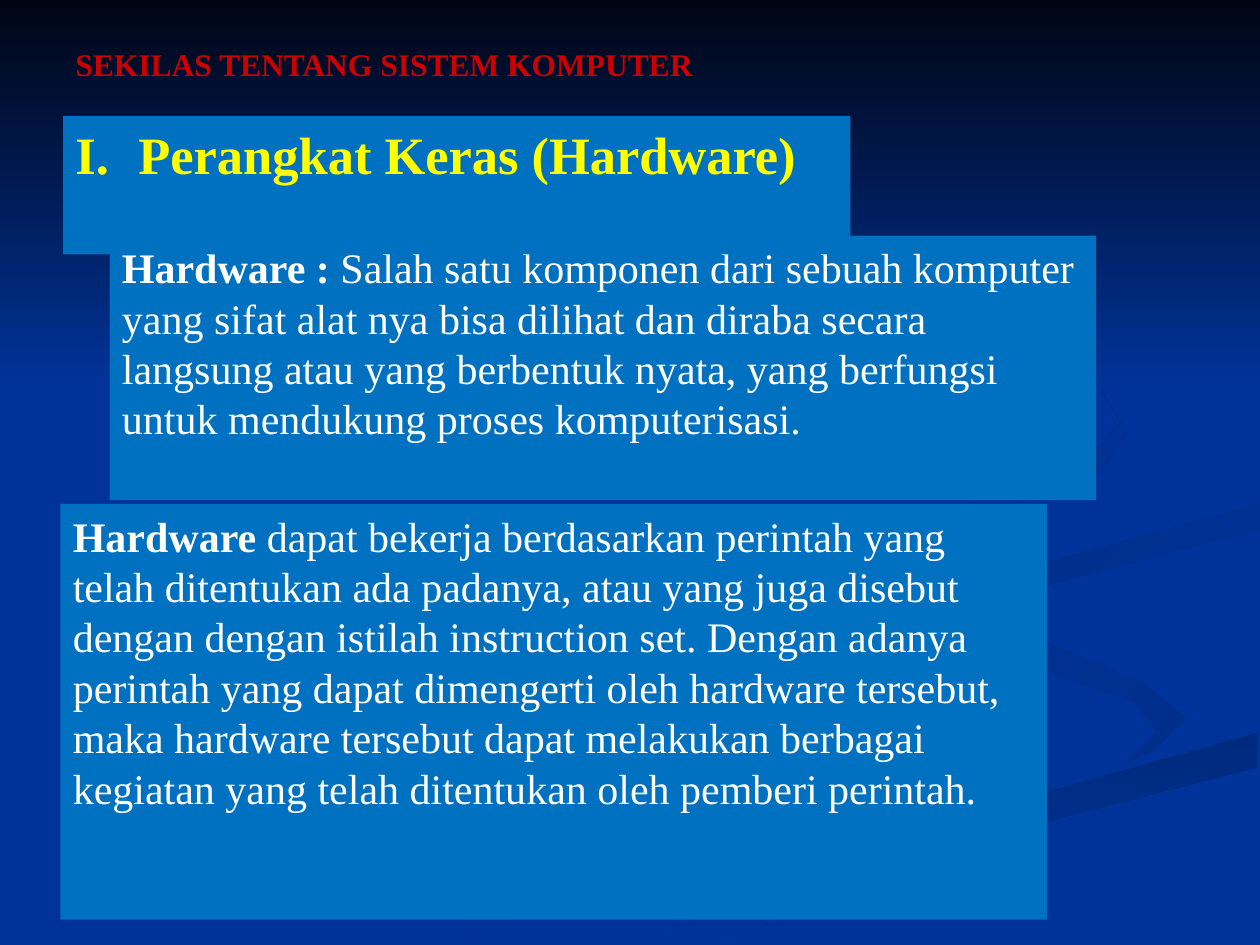
from dataclasses import dataclass

from lxml.etree import SubElement
from pptx import Presentation
from pptx.dml.color import RGBColor
from pptx.enum.shapes import MSO_SHAPE as Preset
from pptx.enum.text import MSO_ANCHOR as Anchor, PP_ALIGN as Align
from pptx.oxml.ns import qn
from pptx.util import Emu, Inches, Pt

NAVY, PANEL_BLUE, WHITE = "003399", "0070C0", "FFFFFF"
FONT = "Times New Roman"


@dataclass
class Swirl:
    """A closed outline in tenths of an inch, with a two-colour gradient."""
    points: list[tuple[float, float]]
    start: str = NAVY
    end: str = NAVY
    angle: int = 0


@dataclass
class Panel:
    """A text block: a bold lead followed by plain text."""
    left: float
    top: float
    width: float
    height: float
    lead: str
    body: str = ""
    size: int = 24
    color: str = WHITE
    fill: str | None = PANEL_BLUE
    hanging: float = 0
    tab: float = 0


SWIRLS = [
    Swirl([(78, 55), (57, 46), (78, 57), (30, 75), (36, 75), (80, 58)], NAVY, "002E8B"),
    Swirl([(94.3, 57), (90.5, 54), (72.4, 46.4), (83.8, 53.6), (90, 55.7),
           (91.8, 58.1), (89.4, 60.5), (93.2, 58.9)], NAVY, "002E8B", 45),
    Swirl([(50.3, 74.9), (57.1, 74.9), (75.2, 67.2), (99.8, 60.9), (99.8, 58.1),
           (76.4, 64.7)], "002A7D", NAVY, 90),
    Swirl([(72.5, 46.4), (90.5, 54), (94.3, 57), (91.1, 60), (66, 67), (47.7, 74.9),
           (50, 74.9), (76.5, 64.7), (99.9, 58.1), (99.9, 53.8), (78.1, 46.3),
           (85, 42.7), (99.9, 40.2), (99.9, 38.7), (77, 42.7)]),
    Swirl([(78, 46), (83, 50), (81, 47), (100, 42), (100, 40)], "002D86", NAVY, 45),
    Swirl([(68.3, 43), (86.7, 38.4), (89.4, 34.4), (86.4, 29.1), (76.2, 23.3),
           (86.2, 29.2), (88.9, 33.5), (86.1, 37), (57.7, 46.2), (62.2, 50)],
          "002B82", NAVY, 45),
    Swirl([(0, 0), (0, 30.8), (100, 30.8), (100, 0)], "000514", NAVY, 90),
]

PANELS = [
    Panel(0.87, 1.87, 7.83, 2.1, "Hardware : ",
          "Salah satu komponen dari sebuah komputer yang sifat alat nya bisa dilihat dan "
          "diraba secara langsung atau yang berbentuk nyata, yang berfungsi untuk "
          "mendukung proses komputerisasi."),
    Panel(0.48, 4, 7.83, 3.3, "Hardware ",
          "dapat bekerja berdasarkan perintah yang telah ditentukan ada padanya, atau yang "
          "juga disebut dengan dengan istilah instruction set. Dengan adanya perintah yang "
          "dapat dimengerti oleh hardware tersebut, maka hardware tersebut dapat melakukan "
          "berbagai kegiatan yang telah ditentukan oleh pemberi perintah."),
    Panel(0.5, 0.31, 7.83, 0.4, "SEKILAS TENTANG SISTEM KOMPUTER", size=18,
          color="CC0000", fill=None, hanging=0.67),
    Panel(0.5, 0.92, 6.25, 1.1, "I.\tPerangkat Keras (Hardware)", size=30,
          color="FFFF00", tab=0.51),
]


def rgb(value: str) -> RGBColor:
    return RGBColor.from_string(value)


def draw_swirl(shapes, swirl: Swirl) -> None:
    first, *others = [(Inches(x / 10), Inches(y / 10)) for x, y in swirl.points]
    outline = shapes.build_freeform(*first)
    outline.add_line_segments(others, close=True)
    ribbon = outline.convert_to_shape(Emu(0), Emu(0))
    ribbon.shadow.inherit = False
    ribbon.line.fill.background()
    if swirl.start == swirl.end:
        ribbon.fill.solid()
        ribbon.fill.fore_color.rgb = rgb(swirl.start)
        return
    ribbon.fill.gradient()
    ribbon.fill.gradient_angle = (360 - swirl.angle) % 360
    for stop, color in zip(ribbon.fill.gradient_stops, (swirl.start, swirl.end)):
        stop.color.rgb = rgb(color)


def draw_panel(shapes, panel: Panel) -> None:
    place = [Inches(n) for n in (panel.left, panel.top, panel.width, panel.height)]
    if panel.fill:
        block = shapes.add_shape(Preset.RECTANGLE, *place)
        block.shadow.inherit = False
        block.fill.solid()
        block.fill.fore_color.rgb = rgb(panel.fill)
        block.line.fill.background()
    else:
        block = shapes.add_textbox(*place)
    frame = block.text_frame
    frame.word_wrap = True
    frame.vertical_anchor = Anchor.TOP
    paragraph = frame.paragraphs[0]
    paragraph.alignment = Align.LEFT
    properties = paragraph._p.get_or_add_pPr()
    properties.set("marL", str(Inches(panel.hanging)))
    properties.set("indent", str(-Inches(panel.hanging)))
    if panel.tab:
        tabs = SubElement(properties, qn("a:tabLst"))
        SubElement(tabs, qn("a:tab"), pos=str(Inches(panel.tab)), algn="l")
    for words, bold in ((panel.lead, True), (panel.body, False)):
        if words:
            run = paragraph.add_run()
            run.text = words
            run.font.name = FONT
            run.font.size = Pt(panel.size)
            run.font.bold = bold
            run.font.color.rgb = rgb(panel.color)


def main() -> None:
    """Build the slide introducing computer hardware."""
    deck = Presentation()
    deck.slide_width, deck.slide_height = Inches(10), Inches(7.5)
    slide = deck.slides.add_slide(deck.slide_layouts[6])
    slide.background.fill.solid()
    slide.background.fill.fore_color.rgb = rgb(NAVY)
    for swirl in SWIRLS:
        draw_swirl(slide.shapes, swirl)
    for panel in PANELS:
        draw_panel(slide.shapes, panel)
    deck.save("out.pptx")


if __name__ == "__main__":
    main()
